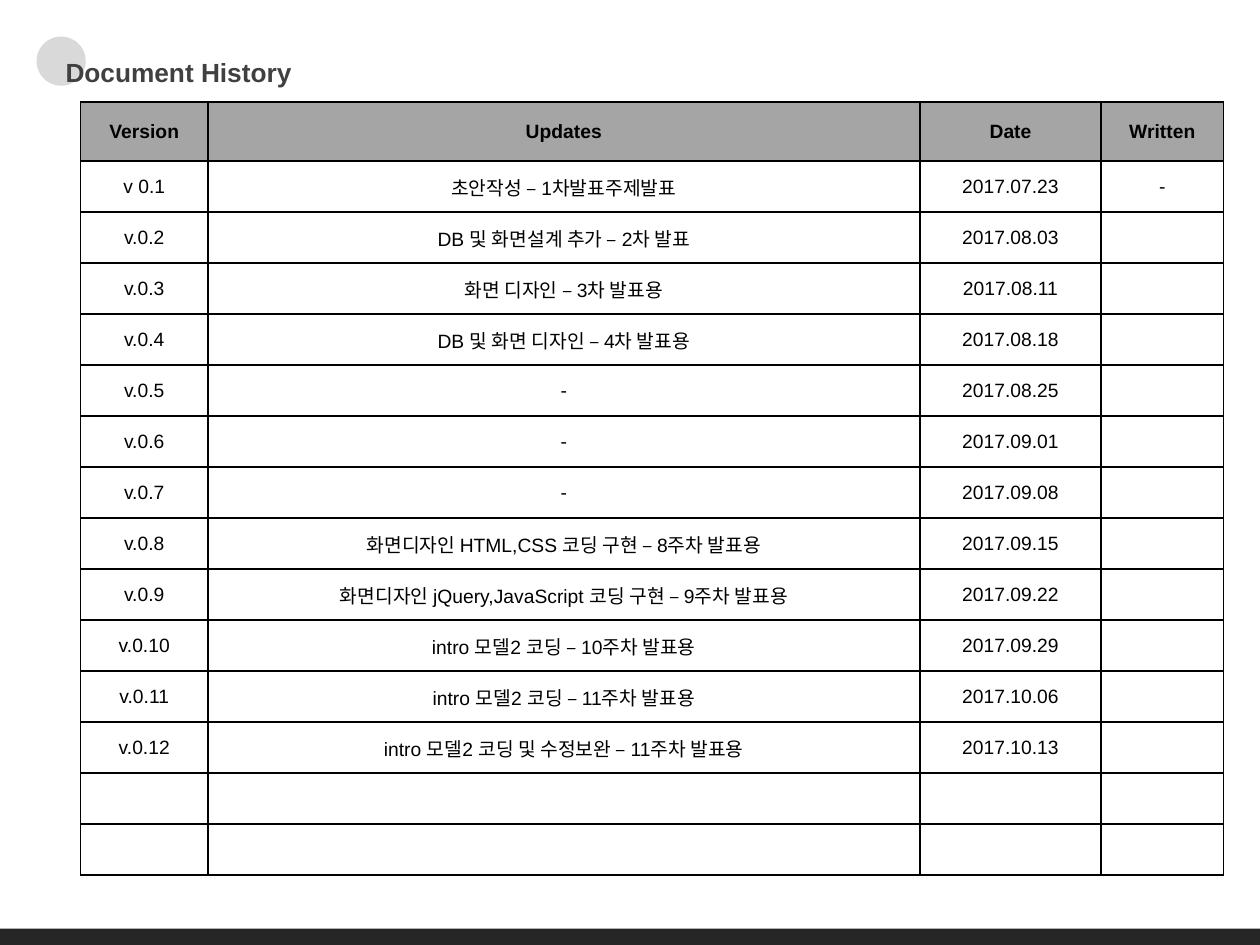
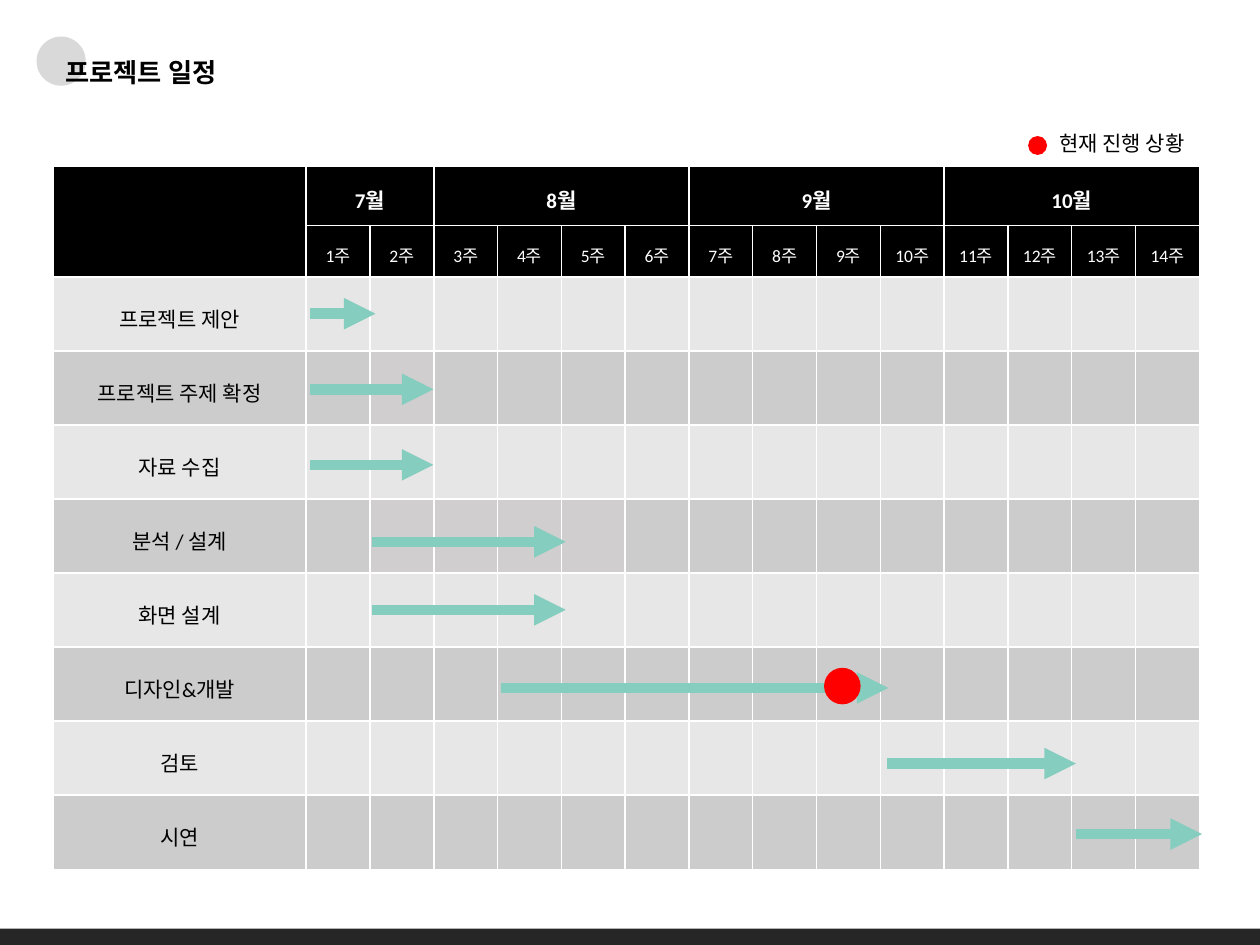
from pptx import Presentation
from pptx.dml.color import RGBColor
from pptx.enum.shapes import MSO_CONNECTOR, MSO_SHAPE
from pptx.enum.text import MSO_ANCHOR, MSO_AUTO_SIZE, PP_ALIGN
from pptx.oxml import parse_xml
from pptx.oxml.ns import nsdecls, qn
from pptx.util import Inches, Pt

COLORS = {
    "black": "000000", "white": "FFFFFF", "title": "404040",
    "disc": "D9D9D9", "band": "262626", "header": "A5A5A5",
    "light": "E7E7E7", "light_marked": "E7E6E6",
    "dark": "CCCCCC", "dark_marked": "D0CECE",
    "arrow": "85CDBE", "now": "FF0000",
}
TITLE = {"name": "Arial", "size": Pt(15), "bold": True}
HISTORY = {"name": "Arial", "size": Pt(11), "bold": False}
SCHEDULE = {"name": "Calibri", "size": Pt(12), "bold": False}
CELL = {
    "margin_left": Inches(0.05), "margin_right": Inches(0.05),
    "margin_top": Inches(0.02), "margin_bottom": Inches(0.02),
    "vertical_anchor": MSO_ANCHOR.MIDDLE,
}


def set_all(target, values):
    for name, value in values.items():
        setattr(target, name, value)


def rgb(color):
    return RGBColor.from_string(COLORS[color])


class Deck:
    def __init__(self):
        self.prs = Presentation()
        self.prs.slide_width, self.prs.slide_height = Inches(10), Inches(7.5)
        self.layout = self.prs.slide_layouts[5]
        self.s = None

    def slide(self, title, width, color):
        first = self.s is None
        self.s = self.prs.slides.add_slide(self.layout)
        if first:
            self.decorate_layout()
        sp = self.s.shapes.title
        set_all(sp, {"left": Inches(0.42), "top": Inches(0.39),
                     "width": Inches(width), "height": Inches(0.36)})
        set_all(sp.text_frame, {"auto_size": MSO_AUTO_SIZE.NONE, "word_wrap": True,
                                "vertical_anchor": MSO_ANCHOR.BOTTOM})
        self.put_text(sp.text_frame, title, TITLE, color, PP_ALIGN.LEFT, 0.9)

    def decorate_layout(self):
        """Move the disc and the bottom band to the layout, behind its placeholders."""
        disc = self.shape(MSO_SHAPE.OVAL, 0.29, 0.29, 0.39, 0.39, "disc")
        band = self.shape(MSO_SHAPE.RECTANGLE, 0, 7.37, 10, 0.13, "band")
        for i, sp in enumerate((disc, band)):
            sp.element.nvSpPr.cNvPr.set("id", str(20 + i))
            self.layout.shapes.element.insert(2 + i, sp.element)

    def put_text(self, tf, text, font, color, align=PP_ALIGN.CENTER, spacing=1.0):
        p = tf.paragraphs[0]
        p.alignment, p.line_spacing = align, spacing
        r = p.add_run()
        r.text = text
        set_all(r.font, font)
        r.font.color.rgb = rgb(color)

    def shape(self, kind, x, y, w, h, color):
        sp = self.s.shapes.add_shape(kind, Inches(x), Inches(y), Inches(w), Inches(h))
        sp.shadow.inherit = False
        sp.fill.solid()
        sp.fill.fore_color.rgb = rgb(color)
        sp.line.fill.background()
        return sp

    def label(self, text, x, y, w, h, font):
        tf = self.s.shapes.add_textbox(Inches(x), Inches(y), Inches(w), Inches(h)).text_frame
        tf.word_wrap = True
        self.put_text(tf, text, font, "black", PP_ALIGN.LEFT)

    def arrow(self, x1, x2, y):
        line = self.s.shapes.add_connector(
            MSO_CONNECTOR.STRAIGHT, Inches(x1), Inches(y), Inches(x2), Inches(y))
        line.line.color.rgb = rgb("arrow")
        line.line.width = Pt(6)
        spPr = line.element.spPr
        spPr.find(qn("a:ln")).append(
            parse_xml(f'<a:tailEnd {nsdecls("a")} type="triangle"/>'))
        spPr.append(parse_xml(f'<a:effectLst {nsdecls("a")}/>'))

    def table(self, x, y, cols, rows):
        table = self.s.shapes.add_table(
            len(rows), len(cols), Inches(x), Inches(y),
            Inches(sum(cols)), Inches(sum(rows))).table
        table.first_row = table.horz_banding = False
        for col, width in zip(table.columns, cols):
            col.width = Inches(width)
        for row, height in zip(table.rows, rows):
            row.height = Inches(height)
        return table

    def cell(self, cell, text, font, color, border, fill=None, spacing=1.0):
        set_all(cell, CELL)
        tcPr = cell._tc.get_or_add_tcPr()
        for side in "LRTB":
            tcPr.append(parse_xml(
                f'<a:ln{side} {nsdecls("a")} w="12700"><a:solidFill>'
                f'<a:srgbClr val="{COLORS[border]}"/></a:solidFill></a:ln{side}>'))
        if fill:
            cell.fill.solid()
            cell.fill.fore_color.rgb = rgb(fill)
        else:
            cell.fill.background()
        if text:
            self.put_text(cell.text_frame, text, font, color, spacing=spacing)


# Document history: updates and dates, in version order
UPDATES = [
    ("v 0.1", "초안작성 – 1차발표주제발표", "2017.07.23", "-"),
    ("v.0.2", "DB 및 화면설계 추가 – 2차 발표", "2017.08.03", ""),
    ("v.0.3", "화면 디자인 – 3차 발표용", "2017.08.11", ""),
    ("v.0.4", "DB 및 화면 디자인 – 4차 발표용", "2017.08.18", ""),
    ("v.0.5", "-", "2017.08.25", ""),
    ("v.0.6", "-", "2017.09.01", ""),
    ("v.0.7", "-", "2017.09.08", ""),
    ("v.0.8", "화면디자인 HTML,CSS 코딩 구현 – 8주차 발표용", "2017.09.15", ""),
    ("v.0.9", "화면디자인 jQuery,JavaScript 코딩 구현 – 9주차 발표용", "2017.09.22", ""),
    ("v.0.10", "intro 모델2 코딩 – 10주차 발표용", "2017.09.29", ""),
    ("v.0.11", "intro 모델2 코딩 – 11주차 발표용", "2017.10.06", ""),
    ("v.0.12", "intro 모델2 코딩 및 수정보완 – 11주차 발표용", "2017.10.13", ""),
    ("",) * 4,
    ("",) * 4,
]

# Schedule: months with their number of weeks
MONTHS = [("7월", 2), ("8월", 4), ("9월", 4), ("10월", 4)]
WEEKS = sum(count for _, count in MONTHS)
# Task, marked weeks, arrow start, arrow end, arrow height
TASKS = [
    ("프로젝트 제안", range(1, 2), 2.46, 2.98, 2.49),
    ("프로젝트 주제 확정", range(2, 3), 2.46, 3.44, 3.09),
    ("자료 수집", range(1, 4), 2.46, 3.44, 3.69),
    ("분석 / 설계", range(2, 6), 2.95, 4.49, 4.3),
    ("화면 설계", range(2, 5), 2.95, 4.49, 4.84),
    ("디자인&개발", range(0), 3.98, 7.05, 5.46),
    ("검토", range(0), 7.04, 8.54, 6.06),
    ("시연", range(0), 8.54, 9.54, 6.62),
]


def history_slide(deck):
    deck.slide("Document History", 2.06, "title")
    header = ("Version", "Updates", "Date", "Written")
    row_height = (6.14 - 0.47) / len(UPDATES)
    table = deck.table(0.64, 0.81, [1.01, 5.65, 1.44, 0.97],
                       [0.47] + [row_height] * len(UPDATES))
    for i, row in enumerate([header] + UPDATES):
        font = HISTORY | {"bold": i == 0}
        for j, text in enumerate(row):
            deck.cell(table.cell(i, j), text, font, "black", "black",
                      None if i else "header")


def schedule_slide(deck):
    deck.slide("프로젝트 일정", 3.37, "black")
    row_height = (5.58 - 0.47 - 0.41) / len(TASKS)
    table = deck.table(0.42, 1.32, [2.01] + [(9.1 - 2.01) / WEEKS] * WEEKS,
                       [0.47, 0.41] + [row_height] * len(TASKS))

    # Two header rows: months over weeks
    months = [""] * (WEEKS + 1)
    start = 1
    for month, count in MONTHS:
        months[start] = month
        table.cell(0, start).merge(table.cell(0, start + count - 1))
        start += count
    table.cell(0, 0).merge(table.cell(1, 0))
    weeks = [""] + [f"{week}주" for week in range(1, WEEKS + 1)]
    fonts = (SCHEDULE | {"bold": True}, SCHEDULE | {"size": Pt(10)})
    for i, (texts, font) in enumerate(zip((months, weeks), fonts)):
        for j, text in enumerate(texts):
            deck.cell(table.cell(i, j), text, font, "white", "white", "black", 1.25)

    # Task rows, with marked weeks in a warmer grey
    for i, (task, marked, *_) in enumerate(TASKS):
        shade = ("light", "dark")[i % 2]
        for j in range(WEEKS + 1):
            fill = f"{shade}_marked" if j in marked else shade
            deck.cell(table.cell(i + 2, j), "" if j else task, SCHEDULE,
                      "black", "white", fill, 1.25)

    # Arrows, current position and its legend
    for *_, x1, x2, y in TASKS:
        deck.arrow(x1, x2, y)
    for x, y, size in ((6.54, 5.3, 0.29), (8.16, 1.08, 0.15)):
        deck.shape(MSO_SHAPE.OVAL, x, y, size, size, "now")
    deck.label("현재 진행 상황", 8.31, 0.99, 1.47, 0.3, SCHEDULE)


def main():
    deck = Deck()
    history_slide(deck)
    schedule_slide(deck)
    deck.prs.save("out.pptx")


if __name__ == "__main__":
    main()
